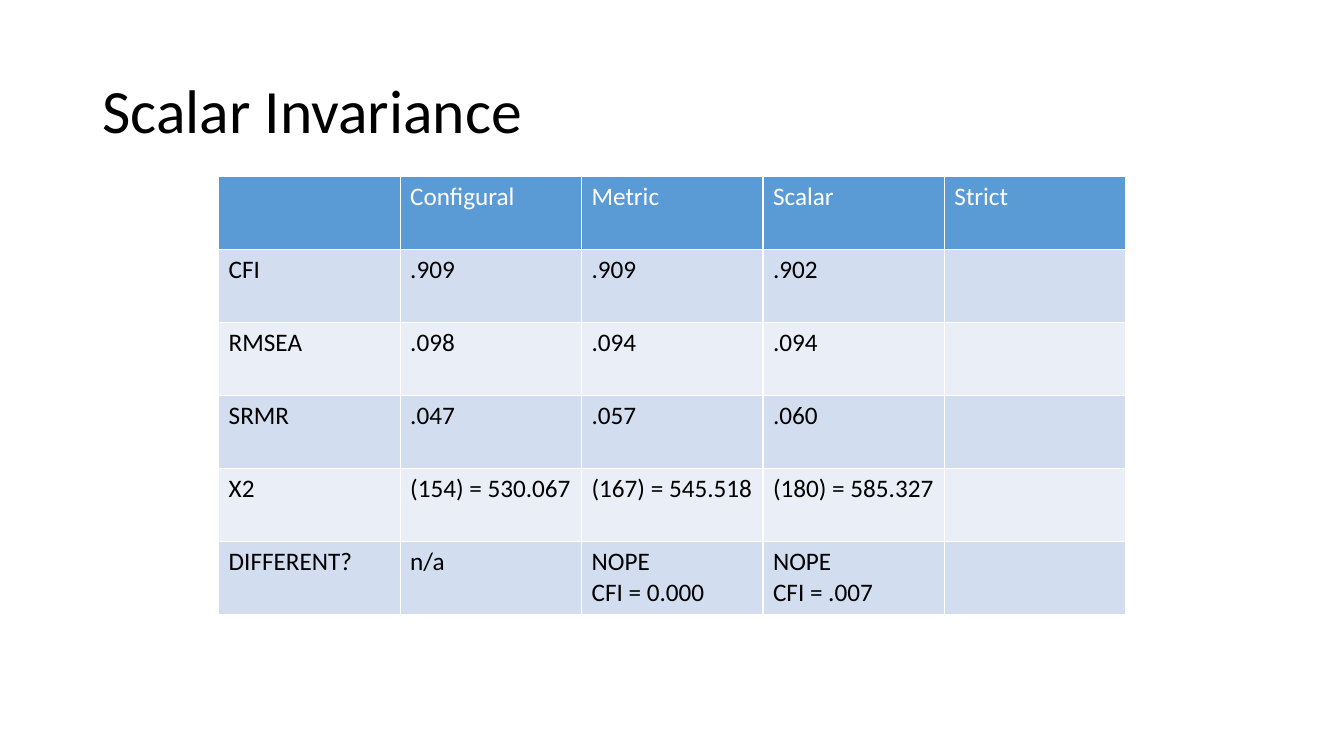
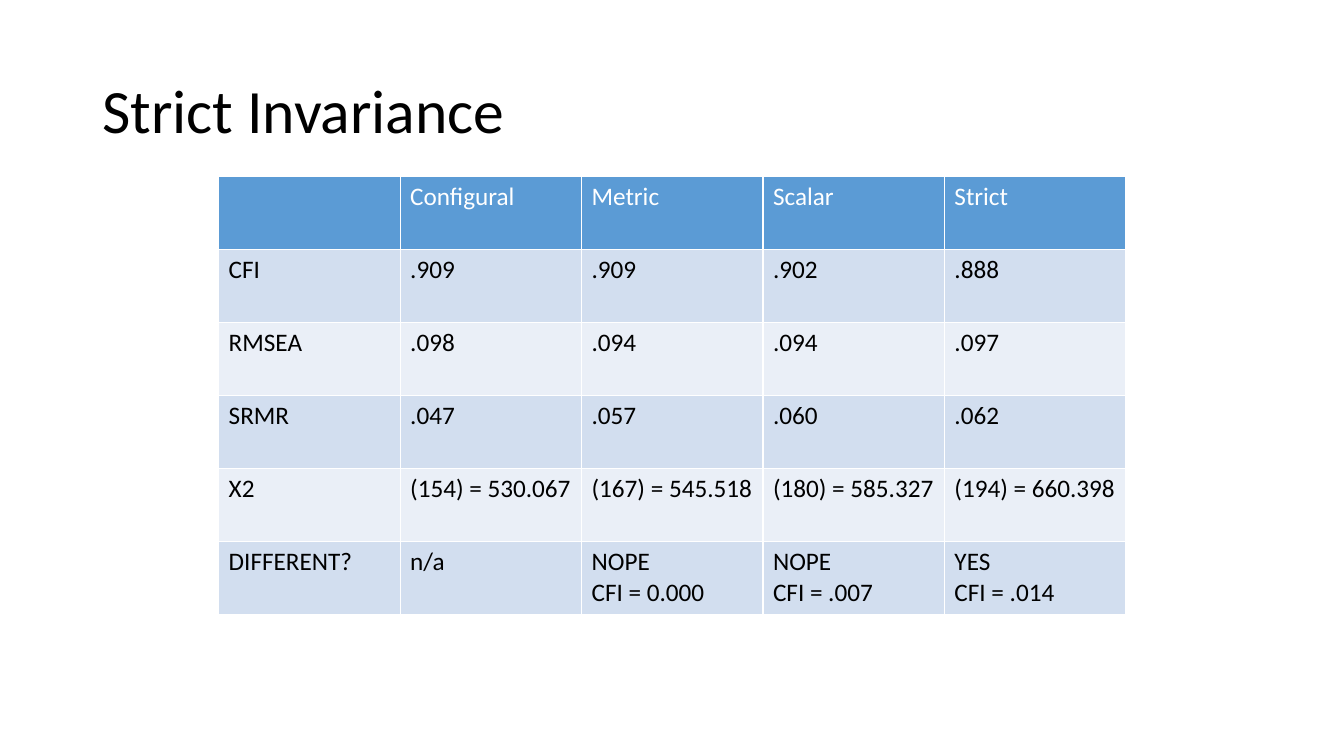
from pptx import Presentation
from pptx.dml.color import RGBColor
from pptx.enum.text import MSO_ANCHOR
from pptx.util import Pt

FONT = "Calibri"
BLACK, WHITE = "000000", "FFFFFF"
HEADER_BLUE = "5B9BD5"
BAND_BLUES = ["D2DEEF", "EAEFF7"]

COLUMN_WIDTH, ROW_HEIGHT = 129.6, 52.2

HEADINGS = ["", "Configural", "Metric", "Scalar", "Strict"]
FIT_ROWS = [
    ["CFI", ".909", ".909", ".902"],
    ["RMSEA", ".098", ".094", ".094"],
    ["SRMR", ".047", ".057", ".060"],
    ["X2", "(154) = 530.067", "(167) = 545.518", "(180) = 585.327"],
    ["DIFFERENT?", "n/a", "NOPE\nCFI = 0.000", "NOPE\nCFI = .007"],
]
STRICT_VALUES = [".888", ".097", ".062", "(194) = 660.398", "YES\nCFI = .014"]

SLIDES = [
    ("Scalar Invariance", [""] * len(FIT_ROWS)),
    ("Strict Invariance", STRICT_VALUES),
]


def style_text(text_frame, size, color):
    for paragraph in text_frame.paragraphs:
        paragraph.font.name = FONT
        paragraph.font.size = Pt(size)
        paragraph.font.bold = False
        paragraph.font.color.rgb = RGBColor.from_string(color)


presentation = Presentation()
presentation.slide_width, presentation.slide_height = Pt(960), Pt(540)

for title, strict_column in SLIDES:
    slide = presentation.slides.add_slide(presentation.slide_layouts[6])

    title_box = slide.shapes.add_textbox(Pt(66), Pt(28.75), Pt(828), Pt(104.4))
    title_frame = title_box.text_frame
    title_frame.word_wrap = True
    title_frame.vertical_anchor = MSO_ANCHOR.MIDDLE
    title_frame.text = title
    title_frame.paragraphs[0].line_spacing = 0.9
    style_text(title_frame, 44, BLACK)

    rows = [HEADINGS] + [row + [value] for row, value in zip(FIT_ROWS, strict_column)]
    table = slide.shapes.add_table(
        len(rows), len(HEADINGS), Pt(156.2), Pt(126),
        Pt(COLUMN_WIDTH * len(HEADINGS)), Pt(ROW_HEIGHT * len(rows)),
    ).table
    for column in table.columns:
        column.width = Pt(COLUMN_WIDTH)

    for row_index, row in enumerate(rows):
        table.rows[row_index].height = Pt(ROW_HEIGHT)
        is_header = row_index == 0
        fill_color = HEADER_BLUE if is_header else BAND_BLUES[(row_index - 1) % 2]
        for column_index, text in enumerate(row):
            cell = table.cell(row_index, column_index)
            cell.fill.solid()
            cell.fill.fore_color.rgb = RGBColor.from_string(fill_color)
            cell.text = text
            style_text(cell.text_frame, 18, WHITE if is_header else BLACK)

presentation.save("out.pptx")
